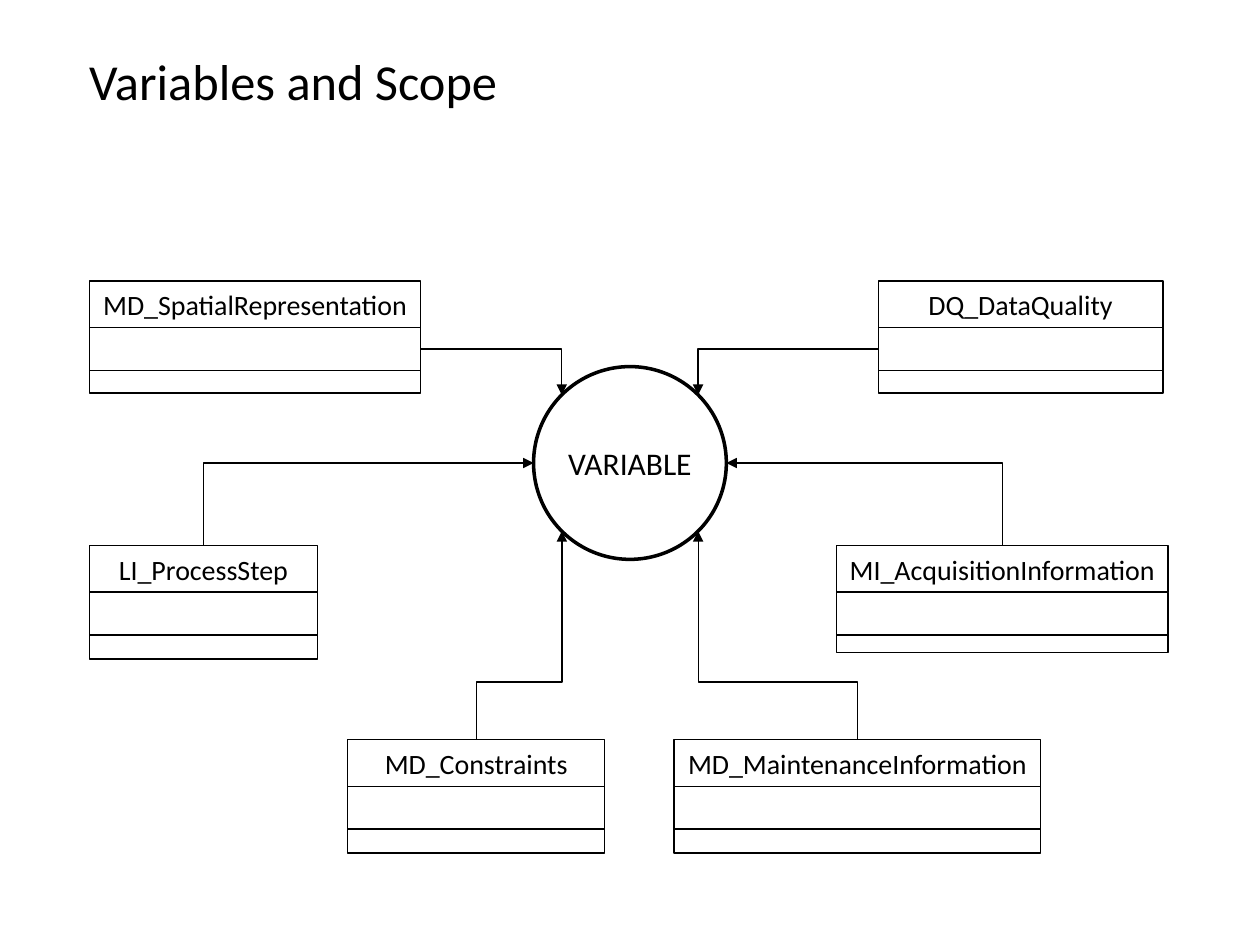
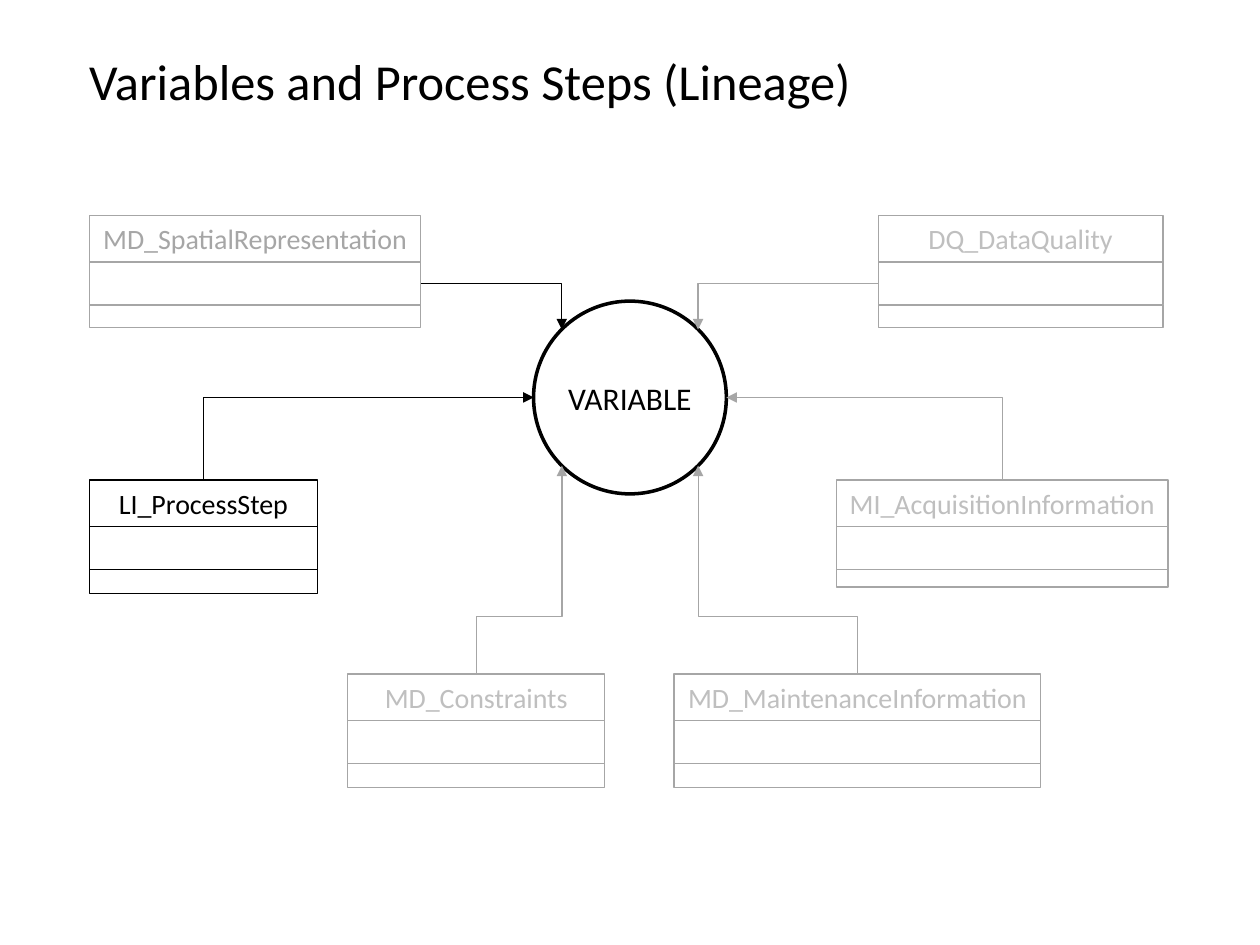
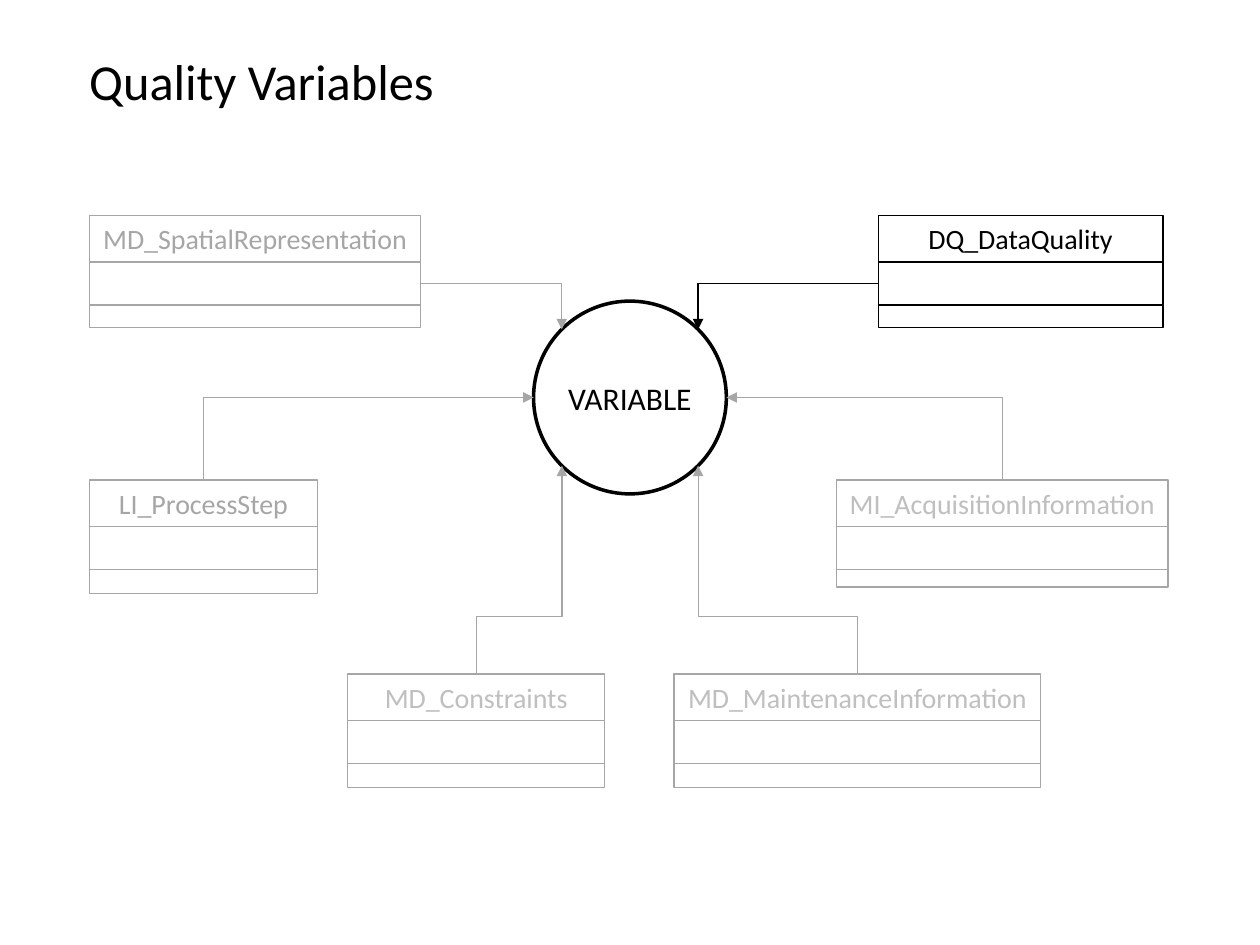
from math import cos, radians, sin

from lxml.etree import SubElement
from pptx import Presentation
from pptx.dml.color import RGBColor
from pptx.enum.shapes import MSO_CONNECTOR as Connector, MSO_SHAPE as Shape
from pptx.enum.text import MSO_ANCHOR as Anchor, PP_ALIGN as Align
from pptx.oxml.ns import qn
from pptx.util import Inches, Pt

# Content: title, title width, top of the diagram, black boxes, black arrows
SPATIAL, PROCESS, QUALITY = "MD_SpatialRepresentation", "LI_ProcessStep", "DQ_DataQuality"
ACQUISITION, MAINTENANCE, CONSTRAINTS = (
    "MI_AcquisitionInformation", "MD_MaintenanceInformation", "MD_Constraints")
ALL = (PROCESS, QUALITY, SPATIAL, ACQUISITION, MAINTENANCE, CONSTRAINTS)
SLIDES = [
    ("Variables and Scope", 3.85, 2.23, ALL, ALL),
    ("Variables and Process Steps (Lineage)", 6.36, 1.71, (PROCESS,), (PROCESS, SPATIAL)),
    ("Quality Variables", 6.36, 1.71, (QUALITY,), (QUALITY,)),
]

# Boxes: left, width, row, foot height, muted text colour,
# side the arrow leaves from, angle where it meets the circle
UPPER, MIDDLE, LOWER = 0, 2.1, 3.64
BOXES = {
    PROCESS: (0.71, 1.81, MIDDLE, 0.19, "grey", "top", 180),
    QUALITY: (6.97, 2.26, UPPER, 0.18, "pale", "left", 315),
    SPATIAL: (0.71, 2.63, UPPER, 0.18, "grey", "right", 225),
    ACQUISITION: (6.64, 2.63, MIDDLE, 0.14, "pale", "top", 0),
    MAINTENANCE: (5.35, 2.91, LOWER, 0.19, "pale", "top", 45),
    CONSTRAINTS: (2.76, 2.04, LOWER, 0.19, "pale", "top", 135),
}

# Shared style
COLORS = {"ink": "000000", "grey": "A6A6A6", "pale": "BFBFBF"}
FONT = "Calibri"
HEAD, BODY = 0.37, 0.34
CIRCLE, CIRCLE_DROP, CENTER = 1.53, 0.68, 5
RECT_SITES = {"top": 0, "left": 1, "right": 3}
CIRCLE_SITES = {225: 1, 180: 2, 135: 3, 45: 5, 0: 6, 315: 7}
FIRST_BEND = 27600


def rgb(color):
    return RGBColor.from_string(COLORS[color])


def write(frame, text, size, color="ink", align=Align.CENTER):
    paragraph = frame.paragraphs[0]
    paragraph.alignment = align
    run = paragraph.add_run()
    run.text = text
    run.font.name, run.font.size = FONT, Pt(size)
    run.font.color.rgb = rgb(color)
    frame.word_wrap = False
    frame.vertical_anchor = Anchor.MIDDLE


def outline(shapes, kind, left, top, width, height, color, weight):
    shape = shapes.add_shape(kind, *map(Inches, (left, top, width, height)))
    shape.shadow.inherit = False
    shape.fill.background()
    shape.line.color.rgb, shape.line.width = rgb(color), Pt(weight)
    return shape


def add_class_box(slide, name, top, lit):
    """Draw head, body and foot; return the head and the body."""
    left, width, row, foot, muted, _, _ = BOXES[name]
    group = slide.shapes.add_group_shape()
    parts, y = [], top + row
    for height in (HEAD, BODY, foot):
        parts.append(outline(group.shapes, Shape.RECTANGLE, left, y, width, height,
                             "ink" if lit else "grey", 0.75))
        y += height
    write(parts[0].text_frame, name, 16, "ink" if lit else muted)
    return parts[:2]


def add_arrow(slide, name, top, parts, circle, color):
    left, width, row, _, _, side, angle = BOXES[name]
    upright = side == "top"
    # Ends: a side of the box and a point on the circle
    if upright:
        x1, y1 = left + width / 2, top + row
    else:
        x1, y1 = left + (width if side == "right" else 0), top + row + HEAD + BODY / 2
    x2 = CENTER + CIRCLE / 2 * cos(radians(angle))
    y2 = top + CIRCLE_DROP + CIRCLE / 2 * (1 + sin(radians(angle)))

    arrow = slide.shapes.add_connector(Connector.ELBOW, *map(Inches, (x1, y1, x2, y2)))
    arrow.line.color.rgb, arrow.line.width = rgb(color), Pt(0.75)
    properties = arrow.element.spPr
    geometry = properties.find(qn("a:prstGeom"))
    if row == LOWER:
        guides = geometry.find(qn("a:avLst"))
        SubElement(guides, qn("a:gd"), name="adj1", fmla=f"val {FIRST_BEND}")
    else:
        geometry.set("prst", "bentConnector2")

    # An arrow that starts upwards is the sideways one, turned about its centre
    if upright:
        across, along = abs(x2 - x1), abs(y2 - y1)
        arrow.left, arrow.top = Inches((x1 + x2 - along) / 2), Inches((y1 + y2 - across) / 2)
        arrow.width, arrow.height = Inches(along), Inches(across)
        rightward = x2 > x1
        frame = properties.find(qn("a:xfrm"))
        frame.set("rot", str((90 if rightward else 270) * 60000))
        frame.set("flipH", "1" if rightward else "0")
        frame.set("flipV", "1")

    # Glue both ends
    links = arrow.element.nvCxnSpPr.cNvCxnSpPr
    start = parts[0] if upright else parts[1]
    for tag, target, site in (("a:stCxn", start, RECT_SITES[side]),
                              ("a:endCxn", circle, CIRCLE_SITES[angle])):
        SubElement(links, qn(tag), id=str(target.shape_id), idx=str(site))
    SubElement(properties.find(qn("a:ln")), qn("a:tailEnd"), type="triangle")
    SubElement(properties, qn("a:effectLst"))


def add_slide(deck, title, title_width, top, lit_boxes, lit_arrows):
    slide = deck.slides.add_slide(deck.slide_layouts[6])
    heading = slide.shapes.add_textbox(*map(Inches, (0.61, 0.33, title_width, 0.61)))
    write(heading.text_frame, title, 28.8, align=Align.LEFT)

    circle = outline(slide.shapes, Shape.OVAL, CENTER - CIRCLE / 2, top + CIRCLE_DROP,
                     CIRCLE, CIRCLE, "ink", 2)
    circle.text_frame.margin_left = circle.text_frame.margin_right = 0
    write(circle.text_frame, "VARIABLE", 18)

    boxes = {name: add_class_box(slide, name, top, name in lit_boxes) for name in BOXES}
    for name, parts in boxes.items():
        add_arrow(slide, name, top, parts, circle, "ink" if name in lit_arrows else "grey")


def main():
    deck = Presentation()
    deck.slide_width, deck.slide_height = Inches(10), Inches(7.5)
    for content in SLIDES:
        add_slide(deck, *content)
    deck.save("out.pptx")


if __name__ == "__main__":
    main()
